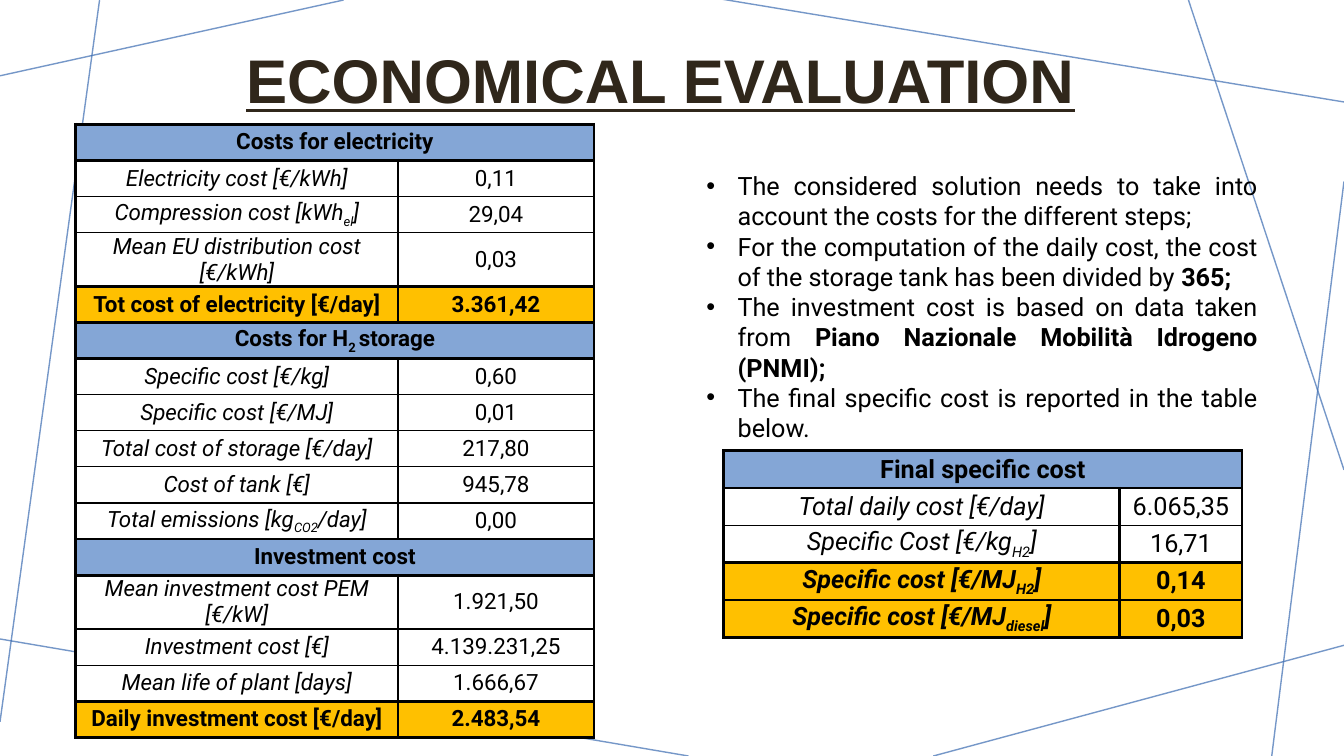
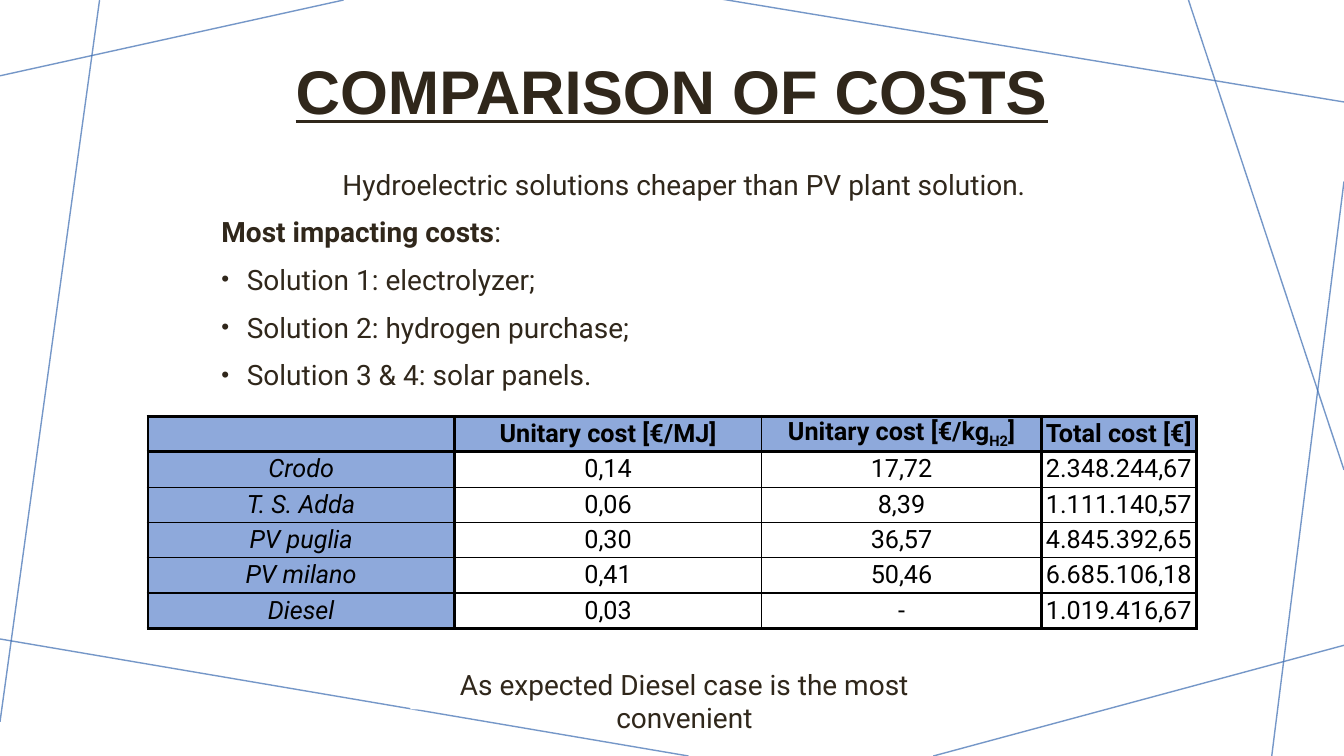
from dataclasses import dataclass

from lxml.etree import SubElement
from pptx import Presentation
from pptx.dml.color import RGBColor as Rgb
from pptx.enum.shapes import MSO_CONNECTOR as Connector
from pptx.enum.text import MSO_ANCHOR as Anchor, PP_ALIGN as Align
from pptx.oxml.ns import qn
from pptx.util import Cm, Pt


@dataclass(frozen=True)
class Theme:
    """Colours, fonts, type sizes and rule weights of the deck."""
    ink: str = "30271B"
    black: str = "000000"
    white: str = "FFFFFF"
    web: str = "3B6CB1"
    blue: str = "84A6D6"
    periwinkle: str = "8EA9DB"
    gold: str = "FFC000"
    title_font: str = "Arial"
    body_font: str = "Roboto"
    title_size: int = 44
    text_size: int = 20
    note_size: int = 18
    small_size: int = 16
    heavy: float = 2.25
    thin: float = 1
    hairline: float = 0.5


@dataclass(frozen=True)
class RowStyle:
    """Look of a group of table rows; the label is the first cell."""
    label_fill: str
    value_fill: str
    bold: bool = False
    italic_label: bool = False


THEME = Theme()
SECTION = RowStyle(THEME.blue, THEME.blue, bold=True)
ITEM = RowStyle(THEME.white, THEME.white, italic_label=True)
TOTAL = RowStyle(THEME.gold, THEME.gold, bold=True)
RESULT = RowStyle(THEME.gold, THEME.gold, bold=True, italic_label=True)
COLUMN_HEADS = RowStyle(THEME.periwinkle, THEME.periwinkle, bold=True)
CASE = RowStyle(THEME.periwinkle, THEME.white, italic_label=True)

WIDTH, HEIGHT = 33.87, 19.05
WEB_LINES = [
    (8.66, 0, 0, 1.91),
    (2.51, 0, 0, 18.19),
    (17.35, HEIGHT, -0.13, 16.08),
    (WIDTH, 16.26, 23.52, HEIGHT),
    (WIDTH, 4.57, 32.05, HEIGHT),
    (WIDTH, 11.84, 29.95, 0),
    (WIDTH, 2.57, 18.14, -0.03),
]


def write(paragraph, text, size, color=THEME.black, font=THEME.body_font,
          bold=False, italic=False, underline=False, align=Align.CENTER):
    """Fill a paragraph; *stars* enclose bold words, ~tildes~ subscripts."""
    paragraph.alignment = align
    for b, stretch in enumerate(text.split("*")):
        for s, words in enumerate(stretch.split("~")):
            if not words:
                continue
            run = paragraph.add_run()
            run.text = words
            run.font.size = Pt(size)
            run.font.name = font
            run.font.color.rgb = Rgb.from_string(color)
            run.font.bold = bold or b % 2 == 1
            run.font.italic = italic
            run.font.underline = underline
            if s % 2:
                run._r.get_or_add_rPr().set("baseline", "-25000")


def add_bullet(paragraph, indent, percent):
    """Give a paragraph a hanging bullet."""
    props = paragraph._p.get_or_add_pPr()
    props.set("marL", str(Cm(indent)))
    props.set("indent", str(-Cm(indent)))
    SubElement(props, qn("a:buSzPct"), val=str(percent * 1000))
    SubElement(props, qn("a:buFont"), typeface=THEME.title_font)
    SubElement(props, qn("a:buChar"), char="•")


def add_borders(cell, **widths):
    """Draw the cell sides L, R, T and B in the given point widths."""
    props = cell._tc.get_or_add_tcPr()
    for side, width in widths.items():
        line = SubElement(props, qn(f"a:ln{side}"), w=str(Pt(width)))
        fill = SubElement(line, qn("a:solidFill"))
        SubElement(fill, qn("a:srgbClr"), val=THEME.black)


class Deck:
    """Holds the theme, the presentation and the current slide."""

    def __init__(self, theme):
        """Start an empty widescreen presentation."""
        self.theme = theme
        self.show = Presentation()
        self.show.slide_width, self.show.slide_height = Cm(WIDTH), Cm(HEIGHT)
        self.slide = None

    def new_slide(self, title, place):
        """Open a slide with the web of lines and its title."""
        self.slide = self.show.slides.add_slide(self.show.slide_layouts[6])
        for ends in WEB_LINES:
            self.web_line(*ends)
        frame = self.text_frame(place)
        frame.vertical_anchor = Anchor.MIDDLE
        heading = frame.paragraphs[0]
        heading.line_spacing = 0.9
        write(heading, title, self.theme.title_size, self.theme.ink,
              self.theme.title_font, bold=True, underline=True)

    def web_line(self, x1, y1, x2, y2):
        """Draw one translucent background line."""
        line = self.slide.shapes.add_connector(
            Connector.STRAIGHT, Cm(x1), Cm(y1), Cm(x2), Cm(y2))
        line.line.width = Pt(self.theme.thin)
        line.line.color.rgb = Rgb.from_string(self.theme.web)
        props = line._element.spPr
        SubElement(next(props.iter(qn("a:srgbClr"))), qn("a:alpha"), val="70000")
        SubElement(props, qn("a:effectLst"))

    def text_frame(self, place, fill=None):
        """Add a wrapping text box and return its frame."""
        box = self.slide.shapes.add_textbox(*map(Cm, place))
        if fill:
            box.fill.solid()
            box.fill.fore_color.rgb = Rgb.from_string(fill)
        box.text_frame.word_wrap = True
        return box.text_frame

    def text(self, place, paragraphs, size, color, fill=None, before=0,
             indent=0.79, bullet_percent=100):
        """Add paragraphs given as (text, alignment, bulleted)."""
        frame = self.text_frame(place, fill)
        for i, (words, align, bulleted) in enumerate(paragraphs):
            paragraph = frame.add_paragraph() if i else frame.paragraphs[0]
            paragraph.space_before = Pt(before)
            if bulleted:
                add_bullet(paragraph, indent, bullet_percent)
            write(paragraph, words, size, color, align=align)

    def table(self, left, top, columns, row_height, groups, size, rule,
              uprights):
        """Add a table of (style, rows) groups with heavy rules between them."""
        rows = [(style, texts, i == 0, i == len(members) - 1)
                for style, members in groups for i, texts in enumerate(members)]
        grid = self.slide.shapes.add_table(
            len(rows), len(columns), Cm(left), Cm(top),
            Cm(sum(columns)), Cm(row_height * len(rows))).table
        grid.first_row = grid.horz_banding = False
        for column, width in zip(grid.columns, columns):
            column.width = Cm(width)
        for r, (style, texts, first, last) in enumerate(rows):
            grid.rows[r].height = Cm(row_height)
            for c in range(len(columns)):
                cell = grid.cell(r, c)
                add_borders(cell, L=uprights[c], R=uprights[c + 1],
                            T=self.theme.heavy if first else rule,
                            B=self.theme.heavy if last else rule)
                self.fill_cell(cell, style, texts[c] if c < len(texts) else "",
                               size, is_label=c == 0)
            if len(texts) == 1:
                grid.cell(r, 0).merge(grid.cell(r, len(columns) - 1))

    def fill_cell(self, cell, style, words, size, is_label):
        """Colour a cell and write its centred text."""
        cell.fill.solid()
        cell.fill.fore_color.rgb = Rgb.from_string(
            style.label_fill if is_label else style.value_fill)
        cell.margin_left = cell.margin_right = 0
        cell.margin_top = cell.margin_bottom = 0
        cell.vertical_anchor = Anchor.MIDDLE
        write(cell.text_frame.paragraphs[0], words, size, bold=style.bold,
              italic=style.italic_label and is_label)


def economical_evaluation(deck):
    """Build the slide with the cost breakdown."""
    theme = deck.theme
    deck.new_slide("ECONOMICAL EVALUATION", (2.9, 1.07, 27.5, 2.08))
    breakdown = [
        (SECTION, [["Costs for electricity"]]),
        (ITEM, [["Electricity cost [€/kWh]", "0,11"],
                ["Compression cost [kWh~el~]", "29,04"],
                ["Mean EU distribution cost [€/kWh]", "0,03"]]),
        (TOTAL, [["Tot cost of electricity [€/day]", "3.361,42"]]),
        (SECTION, [["Costs for H~2 ~storage"]]),
        (ITEM, [["Specific cost [€/kg]", "0,60"],
                ["Specific cost [€/MJ]", "0,01"],
                ["Total cost of storage [€/day]", "217,80"],
                ["Cost of tank [€]", "945,78"],
                ["Total emissions [kg~CO2~/day]", "0,00"]]),
        (SECTION, [["Investment cost"]]),
        (ITEM, [["Mean investment cost PEM [€/kW]", "1.921,50"],
                ["Investment cost [€]", "4.139.231,25"],
                ["Mean life of plant [days]", "1.666,67"]]),
        (TOTAL, [["Daily investment cost [€/day]", "2.483,54"]]),
    ]
    final_cost = [
        (SECTION, [["Final specific cost"]]),
        (ITEM, [["Total daily cost [€/day]", "6.065,35"],
                ["Specific Cost [€/kg~H2~]", "16,71"]]),
        (RESULT, [["Specific cost [€/MJ~H2~]", "0,14"],
                  ["Specific cost [€/MJ~diesel~]", "0,03"]]),
    ]
    uprights = [theme.heavy] * 3
    deck.table(1.91, 3.13, (8.12, 4.94), 0.91, breakdown,
               theme.small_size, theme.thin, uprights)
    deck.table(18.24, 11.36, (9.98, 3.08), 0.94, final_cost,
               theme.note_size, theme.thin, uprights)
    remarks = [
        "The considered solution needs to take into account the costs for "
        "the different steps;",
        "For the computation of the daily cost, the cost of the storage tank "
        "has been divided by *365;*",
        "The investment cost is based on data taken from "
        "*Piano Nazionale Mobilità Idrogeno (PNMI);*",
        "The final specific cost is reported in the table below.",
    ]
    deck.text((17.55, 4.17, 14.4, 6.4),
              [(remark, Align.JUSTIFY, True) for remark in remarks],
              theme.note_size, theme.black)


def comparison_of_costs(deck):
    """Build the slide that compares the cases."""
    theme = deck.theme
    deck.new_slide("COMPARISON OF COSTS", (3.18, 1.17, 27.5, 2.44))
    findings = [
        ("Hydroelectric solutions cheaper than PV plant solution.",
         Align.CENTER, False),
        ("*Most impacting costs*:", Align.LEFT, False),
        ("Solution 1: electrolyzer;", Align.LEFT, True),
        ("Solution 2: hydrogen purchase;", Align.LEFT, True),
        ("Solution 3 & 4: solar panels.", Align.LEFT, True),
    ]
    deck.text((5.33, 4.09, 23.83, 5.89), findings, theme.text_size, theme.ink,
              theme.white, before=10, indent=0.64, bullet_percent=80)
    cases = [
        (COLUMN_HEADS, [["", "Unitary cost [€/MJ]", "Unitary cost [€/kg~H2~]",
                         "Total cost [€]"]]),
        (CASE, [["Crodo", "0,14", "17,72", "2.348.244,67"],
                ["T. S. Adda", "0,06", "8,39", "1.111.140,57"],
                ["PV puglia", "0,30", "36,57", "4.845.392,65"],
                ["PV milano", "0,41", "50,46", "6.685.106,18"]]),
        (CASE, [["Diesel", "0,03", "-", "1.019.416,67"]]),
    ]
    heavy = theme.heavy
    deck.table(3.73, 10.49, (7.72, 7.75, 7.04, 3.91), 0.89, cases,
               theme.note_size, theme.hairline,
               [heavy, heavy, theme.thin, heavy, heavy])
    conclusion = "As expected Diesel case is the most convenient"
    deck.text((10.34, 16.69, 13.82, 1.19), [(conclusion, Align.CENTER, False)],
              theme.text_size, theme.ink, theme.white, before=10)


deck = Deck(THEME)
economical_evaluation(deck)
comparison_of_costs(deck)
deck.show.save("out.pptx")
